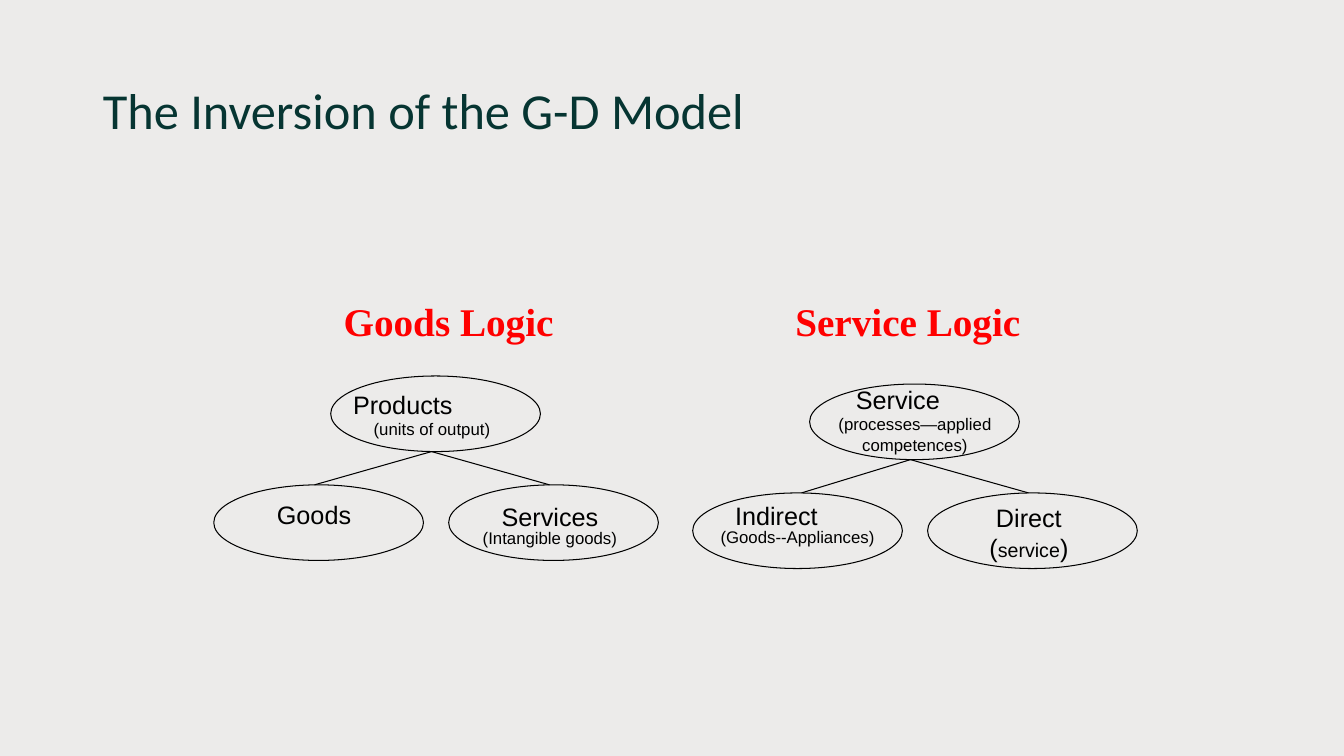
from lxml import etree
from pptx import Presentation
from pptx.dml.color import RGBColor
from pptx.enum.shapes import MSO_CONNECTOR, MSO_SHAPE
from pptx.enum.text import MSO_ANCHOR, PP_ALIGN
from pptx.oxml.ns import qn
from pptx.util import Pt

PX = 9144  # 100 px to the inch
BACKGROUND = RGBColor(0xEC, 0xEB, 0xEA)
TITLE = RGBColor(0x06, 0x35, 0x32)
BLACK = RGBColor(0, 0, 0)
RED = RGBColor(0xFF, 0, 0)

OVAL_W, OVAL_H = 208, 75
CHILD_DX, CHILD_DY = (-116, 117), 108
TIP_X = 100  # where both branches leave the root oval

# Label boxes are relative to their oval. Each line is (runs, right margin),
# and each run is (text, size).
TREES = [
    dict(at=(328, 373), tips=(-16, 217), labels=[
        dict(box=(-8, 8, 217, 60),
             lines=[([("Products", 18)], 58), ([("(units of output)", 12)], 0)]),
        dict(box=(16, 9, 167, 40), lines=[([("Goods", 18)], 0)]),
        dict(box=(17, 17, 167, 50), spacing=0.8,
             lines=[([("Services", 18)], 0), ([("(Intangible goods)", 12)], 0)]),
    ]),
    dict(at=(803, 381), tips=(-8, 217), labels=[
        dict(box=(-8, -5, 225, 80),
             lines=[([("Service", 18)], 34),
                    ([("(processes—applied competences)", 12)], 0)]),
        dict(box=(0, 8, 208, 50), spacing=0.8,
             lines=[([("Indirect", 18)], 42), ([("(Goods--Appliances)", 12)], 0)]),
        dict(box=(17, 4, 167, 71),
             lines=[([("Direct", 18)], 0),
                    ([("(", 18), ("service", 14), (")", 18)], 0)]),
    ]),
]


def px(*lengths):
    return [n * PX for n in lengths]


def add_run(p, text, color, **fmt):
    r = p.add_run()
    r.text = text
    r.font.color.rgb = color
    for name, value in fmt.items():
        setattr(r.font, name, value)


def add_text_box(s, x, y, w, h):
    tf = s.shapes.add_textbox(*px(x, y, w, h)).text_frame
    tf.word_wrap = True
    return tf


def add_title(s, x, y, w, h):
    title = s.shapes.title
    title.left, title.top, title.width, title.height = px(x, y, w, h)
    tf = title.text_frame
    tf.vertical_anchor = MSO_ANCHOR.MIDDLE
    p = tf.paragraphs[0]
    p.alignment, p.line_spacing = PP_ALIGN.LEFT, 0.9
    add_run(p, "The Inversion of the G-D Model", TITLE, size=Pt(36), name="Calibri")


def add_headings(s, x, y, w, h):
    """Place both headings in one line, each at its own tab stop."""
    p = add_text_box(s, x, y, w, h).paragraphs[0]
    tabs = etree.SubElement(p._p.get_or_add_pPr(), qn("a:tabLst"))
    for stop in (100, 548):
        etree.SubElement(tabs, qn("a:tab"), pos=str(stop * PX), algn="l")
    add_run(p, "\tGoods Logic\tService Logic", RED,
            size=Pt(28), name="Times New Roman", bold=True)


def add_oval(s, x, y, label):
    oval = s.shapes.add_shape(MSO_SHAPE.OVAL, *px(x, y, OVAL_W, OVAL_H))
    oval.shadow.inherit = False
    oval.fill.background()
    oval.line.color.rgb, oval.line.width = BLACK, Pt(0.75)

    dx, dy, w, h = label["box"]
    tf = add_text_box(s, x + dx, y + dy, w, h)
    for i, (runs, margin) in enumerate(label["lines"]):
        p = tf.add_paragraph() if i else tf.paragraphs[0]
        p.alignment = PP_ALIGN.CENTER
        p.line_spacing = label.get("spacing", 1.0)
        # A zero margin is written too, or the line above passes its own on.
        p._p.get_or_add_pPr().set("marR", str(margin * PX))
        for text, size in runs:
            add_run(p, text, BLACK, size=Pt(size), name="Arial")


def add_branch(s, x1, y1, x2, y2):
    line = s.shapes.add_connector(MSO_CONNECTOR.STRAIGHT, *px(x1, y1, x2, y2))
    line.line.color.rgb, line.line.width = BLACK, Pt(0.75)
    etree.SubElement(line._element.spPr, qn("a:effectLst"))


def add_tree(s, at, tips, labels):
    """Draw a root oval at the given corner with two child ovals below it."""
    x, y = at
    root, *children = labels
    add_oval(s, x, y, root)
    for dx, tip, child in zip(CHILD_DX, tips, children):
        add_oval(s, x + dx, y + CHILD_DY, child)
        add_branch(s, x + TIP_X, y + OVAL_H, x + tip, y + CHILD_DY)


def main():
    prs = Presentation()
    prs.slide_width, prs.slide_height = px(1333, 750)
    s = prs.slides.add_slide(prs.slide_layouts[5])
    s.background.fill.solid()
    s.background.fill.fore_color.rgb = BACKGROUND
    add_title(s, 92, 40, 1150, 145)
    for tree in TREES:
        add_tree(s, **tree)
    add_headings(s, 231, 290, 892, 57)
    prs.save("out.pptx")


if __name__ == "__main__":
    main()
